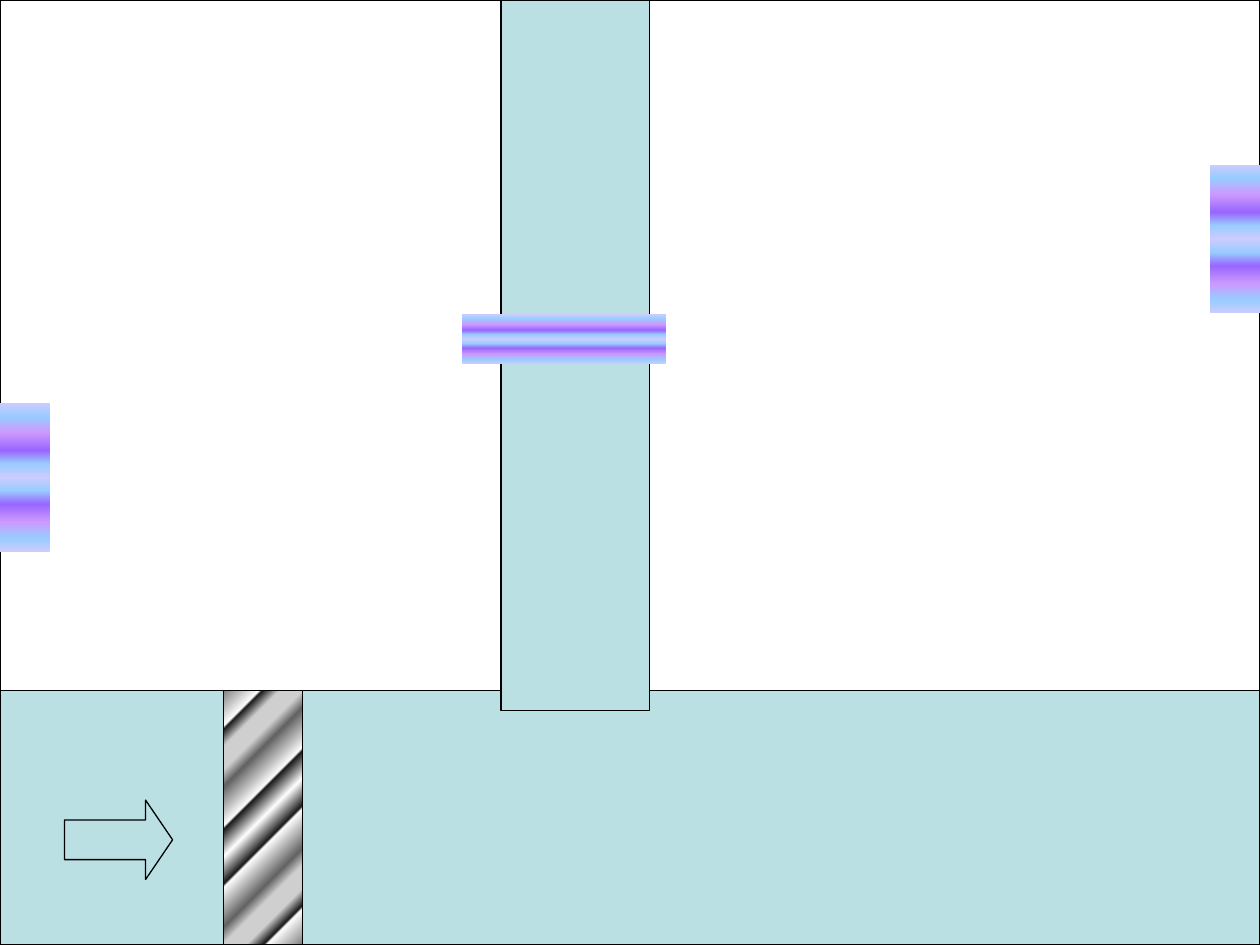
from lxml import etree
from pptx import Presentation
from pptx import util as u
from pptx.dml.color import RGBColor
from pptx.enum import shapes
from pptx.oxml import ns

COLUMNS, ROWS = 25.4, 19.05
GROUND_TOP = 13.92
WATER, WHITE, BLACK = "BBE0E3", "FFFFFF", "000000"
STEEL = [(0, "7F7F7F"), (11, WHITE), (12, "1F1F1F"), (17, "CFCFCF"),
         (24, "CFCFCF"), (29, "636363"), (41, WHITE), (42, "1F1F1F"), (50, WHITE)]
VIOLET = [(0, "CCCCFF"), (9, "99CCFF"), (20, "CC99FF"), (32, "9966FF"),
          (41, "99CCFF"), (50, "CCCCFF")]


def color(value):
    """Turn a hex string into a colour."""
    return RGBColor.from_string(value)


def add_block(slide, box, fill=None, outlined=True, kind=shapes.MSO_SHAPE.RECTANGLE):
    """Add a shape placed in one-centimetre grid cells."""
    shape = slide.shapes.add_shape(kind, *(u.Cm(cells) for cells in box))
    shape.shadow.inherit = False
    if fill:
        shape.fill.solid()
        shape.fill.fore_color.rgb = color(fill)
    if outlined:
        shape.line.color.rgb = color(BLACK)
        shape.line.width = u.Pt(0.75)
    else:
        shape.line.fill.background()
    return shape


def paint_mirrored(shape, half, angle):
    """Fill a shape with a linear gradient mirrored about its middle."""
    shape.fill.gradient()
    gradient = shape._element.spPr.find(ns.qn("a:gradFill"))
    stops = gradient.find(ns.qn("a:gsLst"))
    for stop in list(stops):
        stops.remove(stop)
    mirrored = [(100 - position, value) for position, value in half[-2::-1]]
    for position, value in half + mirrored:
        stop = etree.SubElement(stops, ns.qn("a:gs"), pos=str(position * 1000))
        etree.SubElement(stop, ns.qn("a:srgbClr"), val=value)
    gradient.find(ns.qn("a:lin")).set("ang", str(angle * 60000))


def add_plug(slide, box, rotation):
    """Add a turned violet plug without an outline."""
    plug = add_block(slide, box, outlined=False)
    paint_mirrored(plug, VIOLET, 0)
    plug.rotation = rotation


def main():
    """Build the slide with the pipes, the piston and the plugs."""
    presentation = Presentation()
    presentation.slide_width, presentation.slide_height = u.Cm(COLUMNS), u.Cm(ROWS)
    slide = presentation.slides.add_slide(presentation.slide_layouts[6])
    depth = ROWS - GROUND_TOP

    add_block(slide, (0, 0, COLUMNS, ROWS), WHITE)
    add_block(slide, (0, GROUND_TOP, COLUMNS, depth), WATER)
    arrow = add_block(slide, (1.3, 16.13, 2.18, 1.6), WATER,
                      kind=shapes.MSO_SHAPE.RIGHT_ARROW)
    arrow.adjustments[0], arrow.adjustments[1] = 0.5, 0.34
    add_block(slide, (10.1, 0, 3, 14.33), WATER)
    piston = add_block(slide, (4.5, GROUND_TOP, 1.6, depth))
    paint_mirrored(piston, STEEL, 45)

    add_plug(slide, (-1, 9.12, 3, 1), 270)
    add_plug(slide, (COLUMNS - 2, 4.32, 3, 1), 90)
    add_plug(slide, (10.87, 4.78, 1, 4.12), 90)
    presentation.save("out.pptx")


main()
